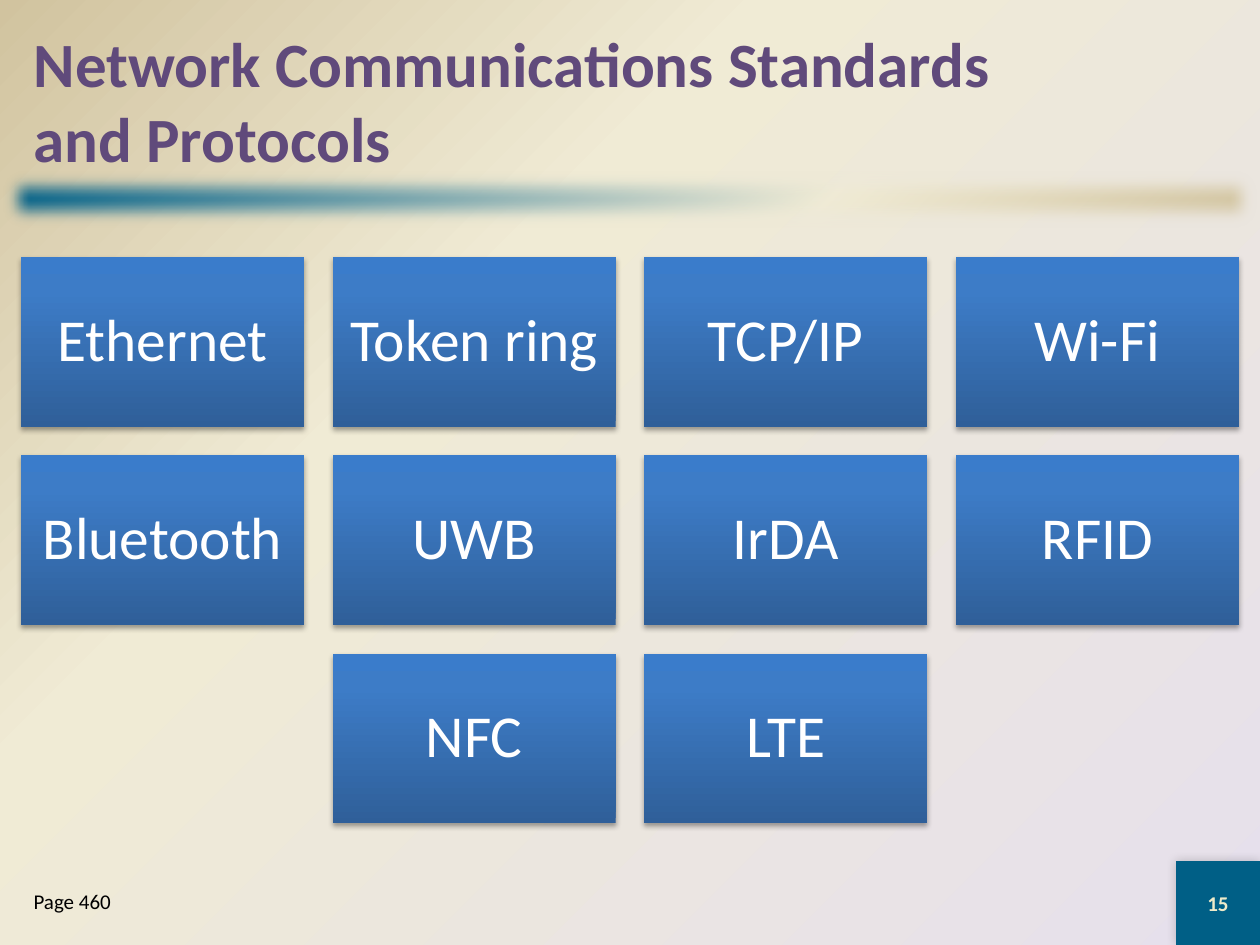
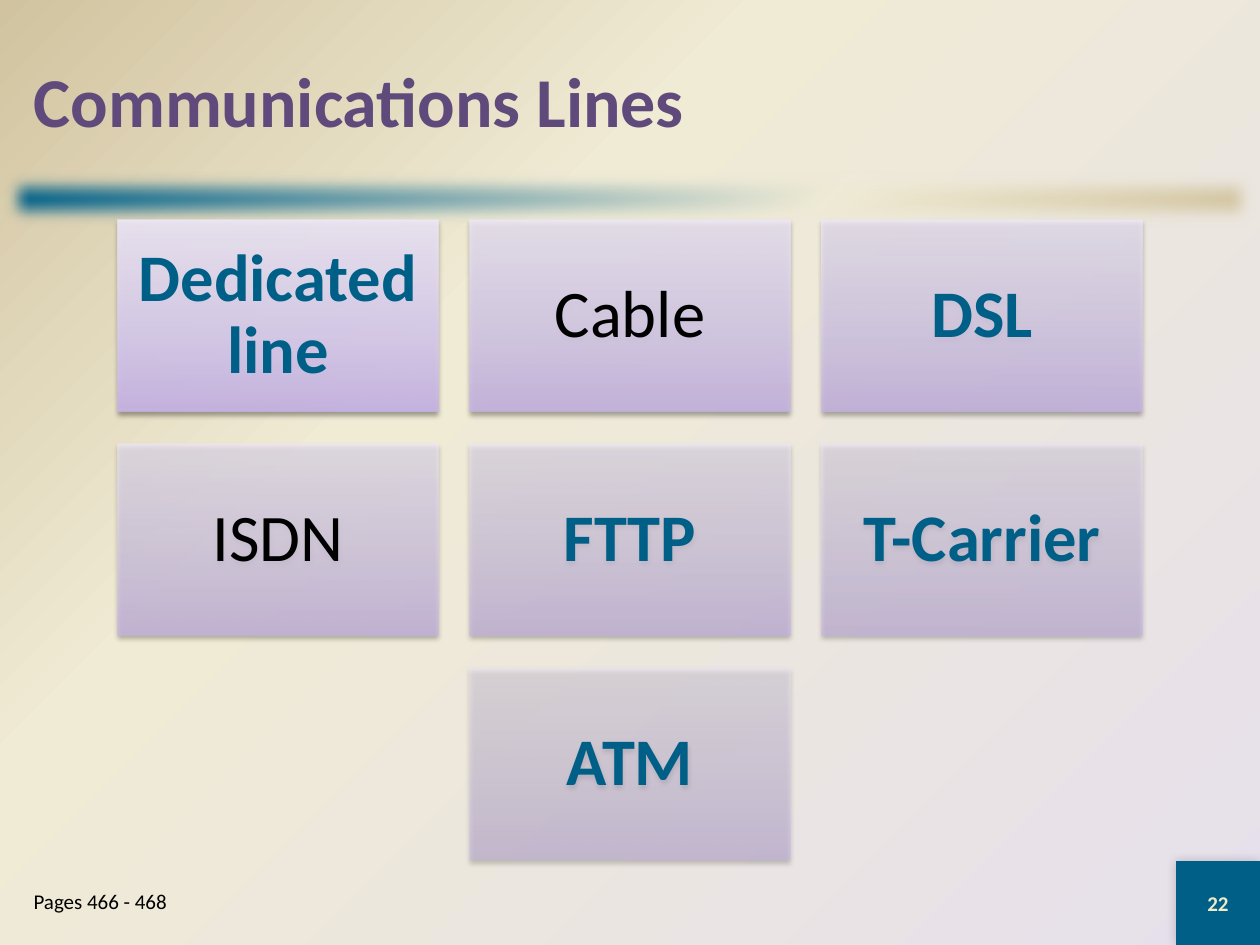
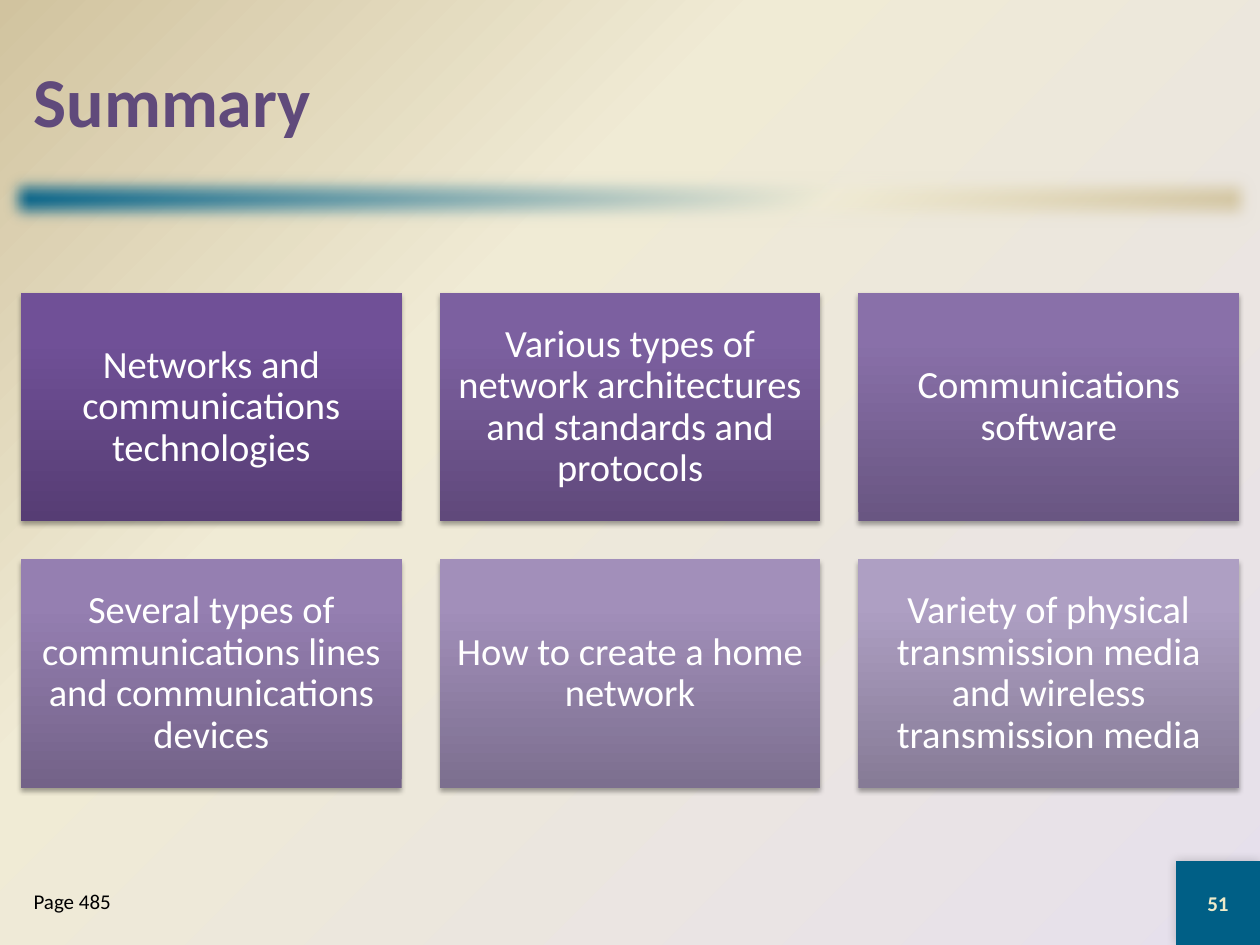
from lxml import etree
from pptx import Presentation
from pptx.dml.color import RGBColor
from pptx.enum.shapes import MSO_SHAPE
from pptx.enum.text import MSO_ANCHOR, MSO_AUTO_SIZE, PP_ALIGN
from pptx.oxml.ns import qn
from pptx.util import Pt

RECT = MSO_SHAPE.RECTANGLE
MIDDLE, TOP = MSO_ANCHOR.MIDDLE, MSO_ANCHOR.TOP
LEFT, CENTER = PP_ALIGN.LEFT, PP_ALIGN.CENTER
NO_AUTOFIT = MSO_AUTO_SIZE.NONE

PX = 914400 / 126  # EMU in one px
FONT = "Calibri"
C = {
    "title": "604A7B", "teal": "005F86", "cream": "F0EBD5", "sand": "D1C39F",
    "lavender": "E6E0EC", "number": "EEEBCA", "white": "FFFFFF", "black": "000000",
    "blue_low": "2F5F99", "blue_mid": "3D7CC7", "blue_top": "3A7CCB",
    "lilac_low": "C9B5E8", "lilac_mid": "D8CBEE", "lilac_top": "F0EAF9",
    "plum_low": "563D74", "plum_mid": "705097", "plum_top": "704F99",
    "mauve_low": "867B96", "mauve_mid": "AE9FC3", "mauve_top": "AE9FC4",
}

# Boxes are (left, top, width, height) in px
SLIDE_W, SLIDE_H = 1260, 945
TITLE_BOX = (21, 21, 1218, 158)
BAR_BOX = (0, 168, 1260, 63)
NUMBER_BOX = (1176, 861, 84, 84)
PAGE_BOX = (21, 882, 231, 63)

# Tile styles: stops run from the first tile's colours to the last tile's
BLUE = {
    "stops": [(0, C["blue_low"]), (80, C["blue_mid"]), (100, C["blue_top"])],
    "alpha": (100, 100), "size": 34, "inset": 17, "shadow": (35, 3.1, 1.8, 90),
}
LILAC = {
    "stops": [(0, C["lilac_low"]), (35, C["lilac_mid"]), (100, C["lilac_top"])],
    "alpha": (90, 50), "size": 38, "inset": 20, "shadow": (38, 3.1, 1.6, 90),
}
PLUM = {
    "stops": [(0, C["plum_low"]), (80, C["plum_mid"]), (100, C["plum_top"])],
    "last": [C["mauve_low"], C["mauve_mid"], C["mauve_top"]],
    "alpha": (100, 100), "size": 22, "inset": 11, "shadow": (35, 3.1, 1.8, 90),
}


def px(*values):
    return [round(v * PX) for v in values]


def sub(parent, tag, **attrs):
    return etree.SubElement(parent, qn(tag), {k: str(v) for k, v in attrs.items()})


def add_color(parent, color, alpha=100):
    clr = sub(parent, "a:srgbClr", val=color)
    if alpha < 100:
        sub(clr, "a:alpha", val=round(alpha * 1000))


def set_gradient(fill, holder, stops, angle=None, alpha=100):
    """Linear gradient at an angle, or a circular one without an angle."""
    fill.gradient()
    grad = holder.find(qn("a:gradFill"))
    for child in list(grad):
        grad.remove(child)
    grad.set("rotWithShape", "1")
    gs_list = sub(grad, "a:gsLst")
    for pos, color in stops:
        add_color(sub(gs_list, "a:gs", pos=pos * 1000), color, alpha)
    if angle is None:
        circle = sub(grad, "a:path", path="circle")
        sub(circle, "a:fillToRect", l=100000, t=100000)
    else:
        sub(grad, "a:lin", ang=angle * 60000, scaled=0)


def add_rect(slide, box):
    """Plain rectangle and its empty effect list."""
    sp = slide.shapes.add_shape(RECT, *px(*box))
    sp.line.fill.background()
    sp.shadow.inherit = False
    return sp, sp._element.spPr.find(qn("a:effectLst"))


def add_shadow(effects, alpha, blur, dist, angle):
    shadow = sub(effects, "a:outerShdw", blurRad=Pt(blur), dist=Pt(dist),
                 dir=angle * 60000, algn="ctr", rotWithShape=0)
    add_color(shadow, C["black"], alpha)


def set_text(sp, text, color, align=LEFT, anchor=MIDDLE, inset=None, spacing=1.0, **font):
    tf = sp.text_frame
    frame = {"word_wrap": True, "auto_size": NO_AUTOFIT, "vertical_anchor": anchor}
    if inset is not None:
        for side in ("left", "top", "right", "bottom"):
            frame["margin_" + side] = px(inset)[0]
    for name, value in frame.items():
        setattr(tf, name, value)
    tf.text = text
    p = tf.paragraphs[0]
    for name, value in {"alignment": align, "line_spacing": spacing,
                        "space_before": Pt(0)}.items():
        setattr(p, name, value)
    for r in p.runs:
        r.font.color.rgb = RGBColor.from_string(color)
        for name, value in {"name": FONT, **font}.items():
            setattr(r.font, name, value)
    return p


def place(sp, box):
    for name, value in zip(("left", "top", "width", "height"), px(*box)):
        setattr(sp, name, value)


def build_layout(layout, slide):
    """Background, soft bar and number square shared by all slides."""
    fill = layout.background.fill
    fill.solid()
    bg = layout._element.cSld.find(qn("p:bg")).find(qn("p:bgPr"))
    set_gradient(fill, bg, [(0, C["lavender"]), (65, C["cream"]), (100, C["sand"])])

    bar, effects = add_rect(slide, BAR_BOX)
    set_gradient(bar.fill, bar._element.spPr,
                 [(0, C["teal"]), (65, C["cream"]), (100, C["sand"])], 45)
    sub(effects, "a:softEdge", rad=Pt(10))

    square, effects = add_rect(slide, NUMBER_BOX)
    square.fill.solid()
    square.fill.fore_color.rgb = RGBColor.from_string(C["teal"])
    add_shadow(effects, 20, 6, 0, 225)

    for i, sp in enumerate((bar, square)):
        layout.shapes._spTree.insert(2 + i, sp._element)


def blend(first, last, t):
    pairs = zip(bytes.fromhex(first), bytes.fromhex(last))
    return "".join(f"{round(a + (b - a) * t):02X}" for a, b in pairs)


def add_tiles(slide, box, cols, texts, style, text_color=C["white"], plain=None):
    """Grid of tiles with gaps of a tenth of a tile and a centred last row.

    With a set of plain texts, all the others are bold and teal.
    """
    left, top, width = box
    w = width / (cols + 0.1 * (cols - 1))
    h, gap = 0.6 * w, 0.1 * w
    last = style.get("last", [color for _, color in style["stops"]])
    alpha_from, alpha_to = style["alpha"]
    for i, text in enumerate(texts):
        row, col = divmod(i, cols)
        in_row = min(cols, len(texts) - row * cols)
        x = left + (col + (cols - in_row) / 2) * (w + gap)
        sp, effects = add_rect(slide, (x, top + row * (h + gap), w, h))
        t = i / (len(texts) - 1)
        stops = [(pos, blend(color, end, t))
                 for (pos, color), end in zip(style["stops"], last)]
        set_gradient(sp.fill, sp._element.spPr, stops, 270,
                     alpha_from + (alpha_to - alpha_from) * t)
        add_shadow(effects, *style["shadow"])
        bold = plain is not None and text not in plain
        set_text(sp, text, C["teal"] if bold else text_color, CENTER, inset=style["inset"],
                 spacing=0.9, size=Pt(style["size"]), bold=bold)


def add_frame(slide, title, title_size, page, number):
    """Title, page reference and slide number."""
    place(slide.shapes.title, TITLE_BOX)
    set_text(slide.shapes.title, title, C["title"], size=Pt(title_size), bold=True)

    body = slide.placeholders[1]
    place(body, PAGE_BOX)
    p = set_text(body, page, C["black"], anchor=TOP, size=Pt(12))
    pPr = p._p.get_or_add_pPr()
    pPr.set("marL", "0")
    pPr.set("indent", "0")
    sub(pPr, "a:buNone")

    box = slide.shapes.add_textbox(*px(*NUMBER_BOX))
    set_text(box, number, C["number"], CENTER, size=Pt(12), bold=True)


def main():
    prs = Presentation()
    prs.slide_width, prs.slide_height = px(SLIDE_W, SLIDE_H)
    layout = prs.slide_layouts[1]
    standards, lines, summary = [prs.slides.add_slide(layout) for _ in range(3)]
    build_layout(layout, standards)

    # Standards and protocols
    add_tiles(standards, (21, 257, 1218), 4,
              ["Ethernet", "Token ring", "TCP/IP", "Wi-Fi", "Bluetooth",
               "UWB", "IrDA", "RFID", "NFC", "LTE"], BLUE)
    add_frame(standards, "Network Communications Standards\vand Protocols", 36,
              "Page 460", "15")

    # Communications lines
    add_tiles(lines, (118, 220, 1024), 3,
              ["Dedicated line", "Cable", "DSL", "ISDN", "FTTP", "T-Carrier", "ATM"],
              LILAC, C["black"], plain={"Cable", "ISDN"})
    add_frame(lines, "Communications Lines", 40, "Pages 466 - 468", "22")

    # Summary
    add_tiles(summary, (21, 293, 1218), 3,
              ["Networks and communications technologies",
               "Various types of network architectures and standards and protocols",
               "Communications software",
               "Several types of communications lines and communications devices",
               "How to create a home network",
               "Variety of physical transmission media and wireless transmission media"],
              PLUM)
    add_frame(summary, "Summary", 40, "Page 485", "51")

    prs.save("out.pptx")


if __name__ == "__main__":
    main()
